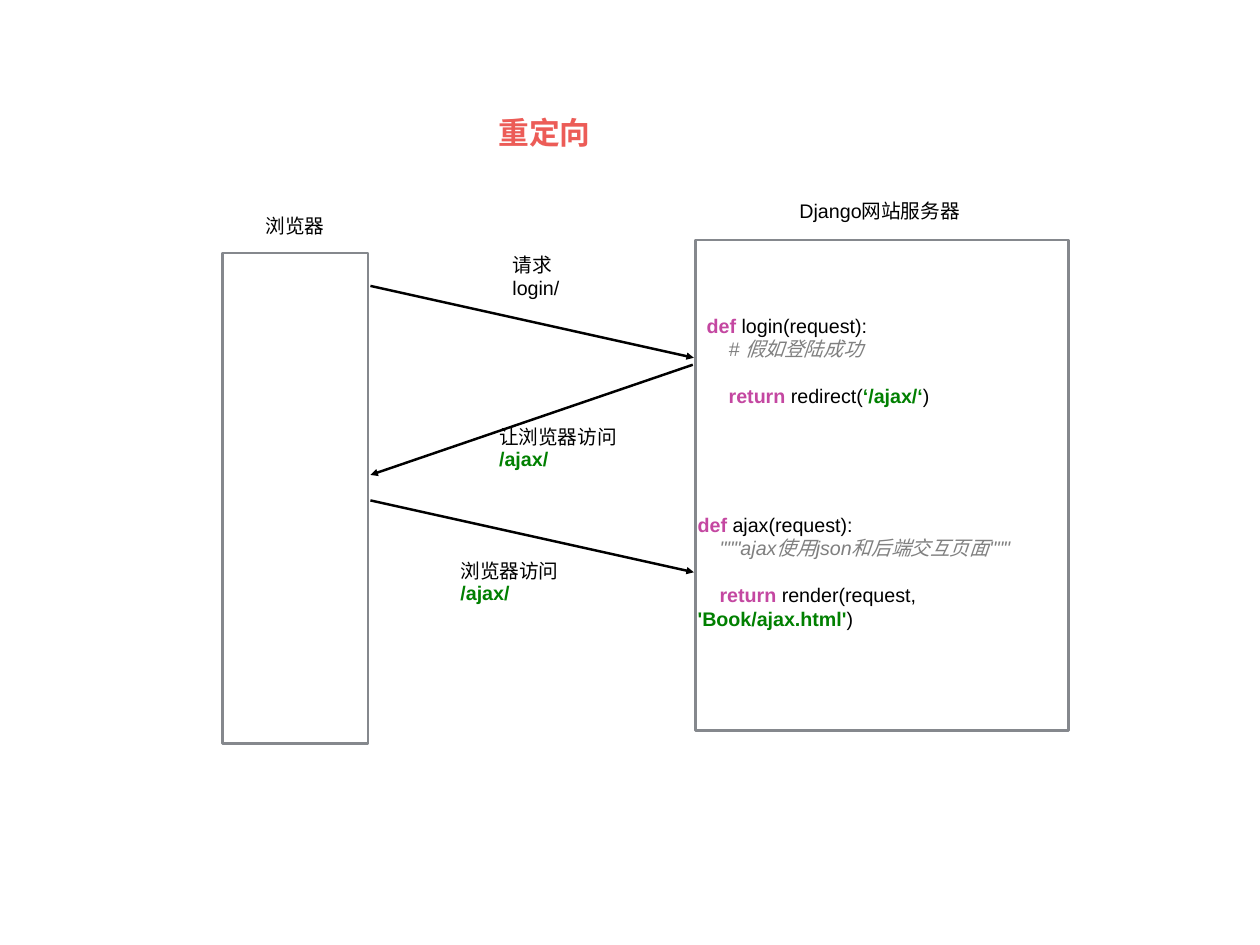
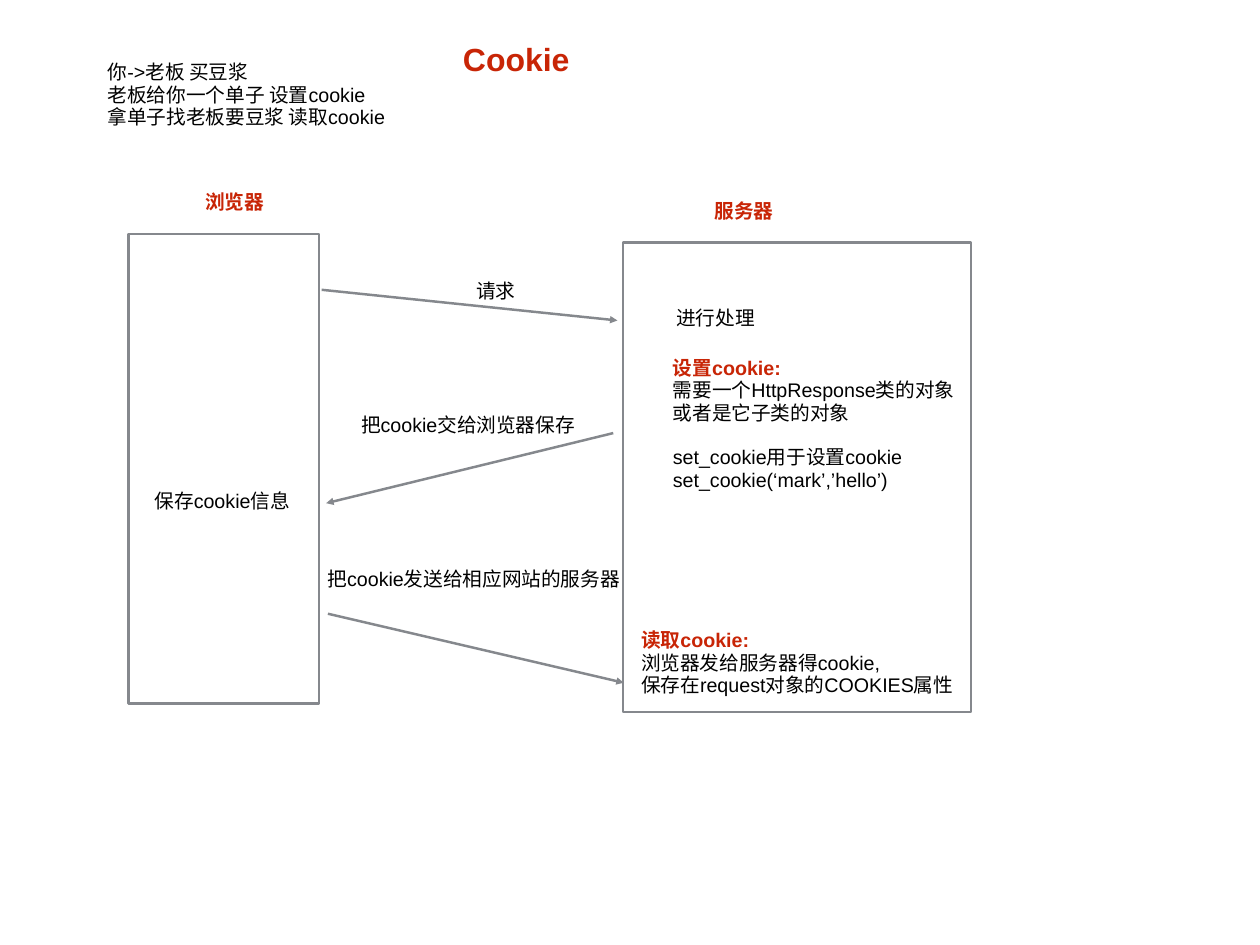
import lxml.etree
import pptx
import pptx.dml.color
import pptx.enum.shapes
import pptx.enum.text
import pptx.oxml.ns
import pptx.util

Cm = pptx.util.Cm
Pt = pptx.util.Pt
RGBColor = pptx.dml.color.RGBColor
qn = pptx.oxml.ns.qn

BLACK = RGBColor(0x00, 0x00, 0x00)
GRAY = RGBColor(0x85, 0x88, 0x8D)
COMMENT = RGBColor(0x80, 0x80, 0x80)
PURPLE = RGBColor(0xC4, 0x47, 0xA1)
GREEN = RGBColor(0x01, 0x80, 0x01)
CORAL = RGBColor(0xEC, 0x5C, 0x57)
RED = RGBColor(0xC8, 0x25, 0x06)

KEYWORD = dict(color=PURPLE, bold=True)
STRING = dict(color=GREEN, bold=True)
REMARK = dict(color=COMMENT, italic=True)
HEADING = dict(color=RED, bold=True)


def add_run(p, text, size=16, color=BLACK, bold=False, italic=False):
    r = p.add_run()
    r.text = text
    r.font.name = "Arial"
    r.font.size = Pt(size)
    r.font.bold = bold
    r.font.italic = italic
    r.font.color.rgb = color


class Deck:
    INSET = Cm(0.14)
    LINE = Pt(2)
    BLANK_LINE = Pt(19)
    CODE_INDENT = Cm(0.63)
    LABEL_HEIGHT = 1.07

    def __init__(self):
        self.prs = pptx.Presentation()
        self.prs.slide_width = Cm(36.12)
        self.prs.slide_height = Cm(27.1)
        self.s = None

    def frame(self, sp):
        tf = sp.text_frame
        tf.auto_size = pptx.enum.text.MSO_AUTO_SIZE.NONE
        tf.word_wrap = True
        tf.vertical_anchor = pptx.enum.text.MSO_ANCHOR.MIDDLE
        tf.margin_left = tf.margin_right = self.INSET
        tf.margin_top = tf.margin_bottom = self.INSET
        return tf

    def paragraph(self, tf, first, spacing=0.9, before=Pt(1)):
        p = tf.paragraphs[0] if first else tf.add_paragraph()
        p.alignment = pptx.enum.text.PP_ALIGN.LEFT
        p.line_spacing = spacing
        p.space_before = before
        return p

    def slide(self, title, x, y, w, h, **fmt):
        self.s = self.prs.slides.add_slide(self.prs.slide_layouts[5])
        sp = self.s.shapes.title
        sp.left, sp.top, sp.width, sp.height = Cm(x), Cm(y), Cm(w), Cm(h)
        add_run(self.paragraph(self.frame(sp), True), title, bold=True, **fmt)

    def box(self, x, y, w, h):
        sp = self.s.shapes.add_shape(
            pptx.enum.shapes.MSO_SHAPE.RECTANGLE, Cm(x), Cm(y), Cm(w), Cm(h))
        sp.shadow.inherit = False
        sp.fill.background()
        sp.line.color.rgb = GRAY
        sp.line.width = self.LINE

    def arrow(self, x1, y1, x2, y2, color=GRAY):
        c = self.s.shapes.add_connector(
            pptx.enum.shapes.MSO_CONNECTOR.STRAIGHT, Cm(x1), Cm(y1), Cm(x2), Cm(y2))
        c.line.color.rgb = color
        c.line.width = self.LINE
        lxml.etree.SubElement(c.line._get_or_add_ln(), qn("a:tailEnd"), type="triangle")
        lxml.etree.SubElement(c._element.spPr, qn("a:effectLst"))

    def textbox(self, x, y, w, h):
        return self.frame(self.s.shapes.add_textbox(Cm(x), Cm(y), Cm(w), Cm(h)))

    def label(self, text, x, y, w, **fmt):
        self.lines([(text, fmt)], x, y, w, self.LABEL_HEIGHT)

    def lines(self, lines, x, y, w, h, gap_before=None):
        tf = self.textbox(x, y, w, h)
        for i, (text, fmt) in enumerate(lines):
            before = self.BLANK_LINE if i == gap_before else Pt(1)
            add_run(self.paragraph(tf, i == 0, before=before), text, **fmt)

    def function(self, signature, remark, result, x, y, w, h):
        tf = self.textbox(x, y, w, h)
        rows = [[("def ", KEYWORD), (signature, {})],
                [(remark, REMARK)],
                [("return ", KEYWORD)] + result]
        for i, row in enumerate(rows):
            before = self.BLANK_LINE if i == 2 else Pt(0)
            p = self.paragraph(tf, i == 0, spacing=1.0, before=before)
            if i:
                p._p.get_or_add_pPr().set("indent", str(int(self.CODE_INDENT)))
            for text, fmt in row:
                add_run(p, text, **fmt)


def redirect_slide(deck):
    deck.slide("重定向", 14.15, 3.07, 3.1, 1.55, size=25, color=CORAL)
    deck.box(6.38, 7.26, 4.17, 14.07)
    deck.box(19.94, 6.88, 10.69, 14.07)
    deck.label("浏览器", 7.47, 5.99, 2.2)
    deck.label("Django网站服务器", 22.78, 5.56, 4.9)
    for ends in [(10.62, 8.2, 19.89, 10.26),
                 (19.86, 10.46, 10.62, 13.62),
                 (10.62, 14.35, 19.89, 16.41)]:
        deck.arrow(*ends, color=BLACK)
    deck.lines([("请求", {}), ("login/", {})], 14.55, 6.91, 2.13, 2.11)
    deck.lines([("让浏览器访问", {}), ("/ajax/", STRING)], 14.17, 12.04, 3.9, 1.68)
    deck.lines([("浏览器访问", {}), ("/ajax/", STRING)], 13.06, 15.88, 3.3, 1.68)
    deck.function("login(request):", "# 假如登陆成功",
                  [("redirect(", {}), ("‘/ajax/‘", STRING), (")", {})],
                  20.12, 9.22, 7.09, 2.24)
    deck.function("ajax(request):", '"""ajax使用json和后端交互页面"""',
                  [("render(request, ", {}), ("'Book/ajax.html'", STRING), (")", {})],
                  19.86, 15.04, 10.82, 2.69)


def cookie_slide(deck):
    deck.slide("Cookie", 13.13, 1.07, 3.5, 1.37, size=26, color=RED)
    deck.lines([("你->老板 买豆浆", {}),
                ("老板给你一个单子 设置cookie", {}),
                ("拿单子找老板要豆浆 读取cookie", {})], 2.95, 1.5, 8.3, 2.51)
    deck.box(3.68, 6.71, 5.46, 13.46)
    deck.box(17.86, 6.96, 9.98, 13.46)
    deck.label("浏览器", 5.74, 5.28, 2.2, **HEADING)
    deck.label("服务器", 20.35, 5.54, 2.2, **HEADING)
    for ends in [(9.22, 8.31, 17.7, 9.19),
                 (17.58, 12.42, 9.35, 14.43),
                 (9.4, 17.6, 17.88, 19.58)]:
        deck.arrow(*ends)
    for text, x, y, w in [("请求", 13.51, 7.85, 1.6),
                          ("进行处理", 19.25, 8.61, 2.7),
                          ("把cookie交给浏览器保存", 10.21, 11.68, 6.5),
                          ("把cookie发送给相应网站的服务器", 9.25, 16.1, 8.76),
                          ("保存cookie信息", 4.29, 13.87, 4.24)]:
        deck.label(text, x, y, w)
    deck.lines([("设置cookie:", HEADING),
                ("需要一个HttpResponse类的对象", {}),
                ("或者是它子类的对象", {}),
                ("set_cookie用于设置cookie", {}),
                ("set_cookie(‘mark’,’hello’)", {})],
               19.15, 9.93, 8.5, 4.52, gap_before=3)
    deck.lines([("读取cookie:", HEADING),
                ("浏览器发给服务器得cookie,", {}),
                ("保存在request对象的COOKIES属性", {})], 18.24, 17.78, 9.3, 2.51)


def main():
    deck = Deck()
    redirect_slide(deck)
    cookie_slide(deck)
    deck.prs.save("out.pptx")


if __name__ == "__main__":
    main()
